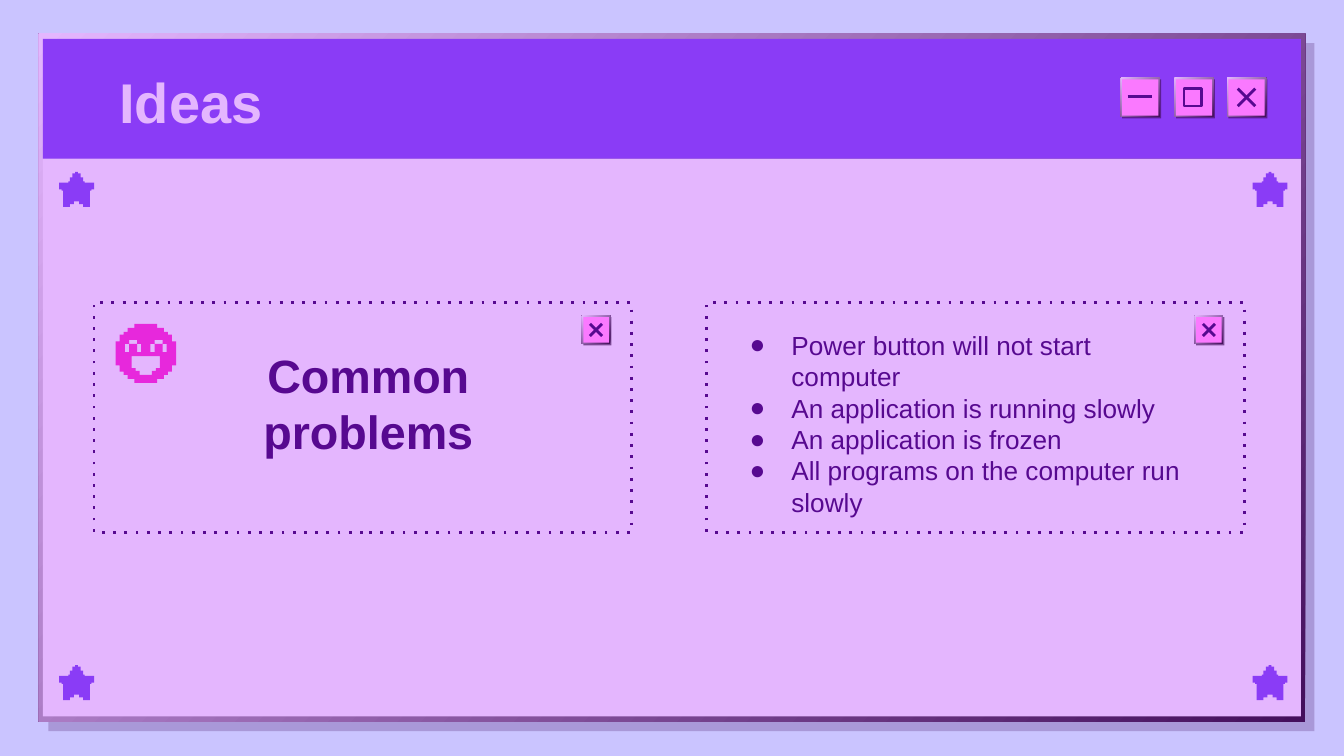
from lxml import etree
from pptx import Presentation
from pptx.dml.color import RGBColor
from pptx.enum.shapes import MSO_CONNECTOR, MSO_SHAPE
from pptx.enum.text import MSO_ANCHOR, PP_ALIGN
from pptx.oxml.ns import qn
from pptx.util import Inches, Pt

RECTANGLE = MSO_SHAPE.RECTANGLE
STRAIGHT = MSO_CONNECTOR.STRAIGHT
TOP, MIDDLE = MSO_ANCHOR.TOP, MSO_ANCHOR.MIDDLE
LEFT, CENTER = PP_ALIGN.LEFT, PP_ALIGN.CENTER

SKY = RGBColor(0xCA, 0xC4, 0xFF)
LILAC = RGBColor(0xE4, 0xB6, 0xFE)
VIOLET = RGBColor(0x8A, 0x3C, 0xF6)
PLUM = RGBColor(0x44, 0x0F, 0x5C)
INDIGO = RGBColor(0x57, 0x09, 0x90)
PINK = RGBColor(0xFA, 0x79, 0xFF)
MAGENTA = RGBColor(0xE7, 0x28, 0xDC)

STAR = [(1, 0), (1, 1), (3, 1), (3, 4), (5, 4), (5, 7), (6, 7), (6, 8), (13, 8),
        (13, 13), (11, 13), (11, 14), (10, 14), (10, 26), (5, 26), (5, 24),
        (2, 24), (2, 22)]
HEAD = [(8.5, 0), (8.5, 3), (13.5, 3), (13.5, 6), (16.5, 6), (16.5, 8),
        (19.5, 8), (19.5, 13), (22.5, 13), (22.5, 31), (19.5, 31), (19.5, 35.5),
        (16.5, 35.5), (16.5, 38), (13.5, 38), (13.5, 41), (8.5, 41), (8.5, 44)]
MOUTH = [(10.5, 24), (10.5, 33), (7.5, 33), (7.5, 35), (4.5, 35), (4.5, 38)]
EYE = [(3, 12), (3, 15), (6, 15), (6, 21), (3, 21), (3, 15)]

PROBLEMS = [
    "Power button will not start computer",
    "An application is running slowly",
    "An application is frozen",
    "All programs on the computer run slowly",
]


def mirrored(half, center, top):
    left = [(center - x / 100, top + y / 100) for x, y in half]
    right = [(center + x / 100, top + y / 100) for x, y in reversed(half)]
    return [(Inches(x), Inches(y)) for x, y in left + right]


class SlideBuilder:
    font = "Arial"
    stroke = Pt(1.5)
    inset = Inches(0.1)

    def __init__(self, slide):
        self.s = slide

    def rect(self, x, y, w, h, fill=None, alpha=None, outline=False):
        sp = self.s.shapes.add_shape(RECTANGLE, Inches(x), Inches(y), Inches(w), Inches(h))
        sp.shadow.inherit = False
        if fill is None:
            sp.fill.background()
        else:
            sp.fill.solid()
            sp.fill.fore_color.rgb = fill
        if alpha is not None:
            color = sp.element.spPr.find(qn("a:solidFill"))[0]
            etree.SubElement(color, qn("a:alpha")).set("val", str(alpha * 1000))
        if outline:
            sp.line.color.rgb = INDIGO
            sp.line.width = self.stroke
        else:
            sp.line.fill.background()
        return sp

    def bevel(self, x, y, w, h, offset, alpha):
        self.rect(x + offset, y + offset, w, h, PLUM, alpha)
        sp = self.rect(x, y, w, h, LILAC)
        sp.fill.gradient()
        sp.fill.gradient_angle = 135
        for stop, color in zip(sp.fill.gradient_stops, (PLUM, LILAC)):
            stop.color.rgb = color

    def line(self, x1, y1, x2, y2):
        cn = self.s.shapes.add_connector(STRAIGHT, Inches(x1), Inches(y1), Inches(x2), Inches(y2))
        cn.line.color.rgb = INDIGO
        cn.line.width = self.stroke
        etree.SubElement(cn.element.spPr, qn("a:effectLst"))

    def button(self, x, y, side):
        self.bevel(x, y, side, side, 0.01, 65)
        self.rect(x + 0.01, y + 0.01, side - 0.02, side - 0.02, PINK)

    def close_button(self, x, y, side, cross):
        self.button(x, y, side)
        gap = (side - cross) / 2
        x1, y1 = x + gap, y + gap
        x2, y2 = x1 + cross, y1 + cross
        self.line(x2, y1, x1, y2)
        self.line(x2, y2, x1, y1)

    def card(self, x, y):
        sp = self.rect(x, y, 4, 1.71, LILAC, outline=True)
        ln = sp.element.spPr.find(qn("a:ln"))
        etree.SubElement(ln, qn("a:prstDash")).set("val", "dot")
        self.close_button(x + 3.63, y + 0.1, 0.21, 0.09)

    def pixel_art(self, contours, color):
        first, *others = contours
        builder = self.s.shapes.build_freeform(*first[0], scale=1.0)
        builder.add_line_segments(first[1:], close=True)
        for contour in others:
            builder.move_to(*contour[0])
            builder.add_line_segments(contour[1:], close=True)
        sp = builder.convert_to_shape()
        sp.shadow.inherit = False
        sp.fill.solid()
        sp.fill.fore_color.rgb = color
        sp.line.fill.background()

    def text(self, x, y, w, h, lines, size, color, bold=False, align=LEFT,
             anchor=TOP, bullets=False):
        tf = self.s.shapes.add_textbox(Inches(x), Inches(y), Inches(w), Inches(h)).text_frame
        tf.word_wrap = True
        tf.vertical_anchor = anchor
        tf.margin_left = tf.margin_right = tf.margin_top = tf.margin_bottom = self.inset
        tf.text = "\n".join(lines)
        for p in tf.paragraphs:
            p.alignment = align
            if bullets:
                self.bullet(p, color)
            for r in p.runs:
                r.font.name = self.font
                r.font.size = Pt(size)
                r.font.bold = bold
                r.font.color.rgb = color

    def bullet(self, p, color):
        pPr = p._p.get_or_add_pPr()
        pPr.set("marL", str(Inches(0.31)))
        pPr.set("indent", str(Inches(-0.35)))
        bu_color = etree.SubElement(pPr, qn("a:buClr"))
        etree.SubElement(bu_color, qn("a:srgbClr")).set("val", str(color))
        etree.SubElement(pPr, qn("a:buFont")).set("typeface", self.font)
        etree.SubElement(pPr, qn("a:buChar")).set("char", "●")


def main():
    prs = Presentation()
    prs.slide_width = Inches(10)
    prs.slide_height = prs.slide_width * 9 // 16
    s = prs.slides.add_slide(prs.slide_layouts[6])
    s.background.fill.solid()
    s.background.fill.fore_color.rgb = SKY
    b = SlideBuilder(s)

    b.bevel(0.29, 0.25, 9.42, 5.12, 0.07, 24)
    b.rect(0.32, 1.18, 9.36, 4.15, LILAC)
    b.rect(0.32, 0.29, 9.36, 0.89, VIOLET)

    b.button(8.34, 0.58, 0.29)
    b.line(8.39, 0.72, 8.57, 0.72)
    b.button(8.74, 0.58, 0.29)
    b.rect(8.81, 0.66, 0.13, 0.13, outline=True)
    b.close_button(9.13, 0.58, 0.29, 0.13)

    for x in (0.7, 5.26):
        b.card(x, 2.25)
    b.text(1.17, 2.48, 3.14, 1.24, ["Common problems"], 25, INDIGO, bold=True, align=CENTER)
    b.text(5.48, 2.35, 3.55, 1.07, PROBLEMS, 14, INDIGO, bullets=True)
    b.text(0.79, 0.44, 6.39, 0.63, ["Ideas"], 30, LILAC, bold=True, anchor=MIDDLE)

    for center in (0.57, 9.45):
        for top in (1.28, 4.95):
            b.pixel_art([mirrored(STAR, center, top)], VIOLET)

    face = ((HEAD, 1.085), (EYE, 0.99), (EYE, 1.18), (MOUTH, 1.085))
    b.pixel_art([mirrored(half, center, 2.41) for half, center in face], MAGENTA)

    prs.save("out.pptx")


if __name__ == "__main__":
    main()
